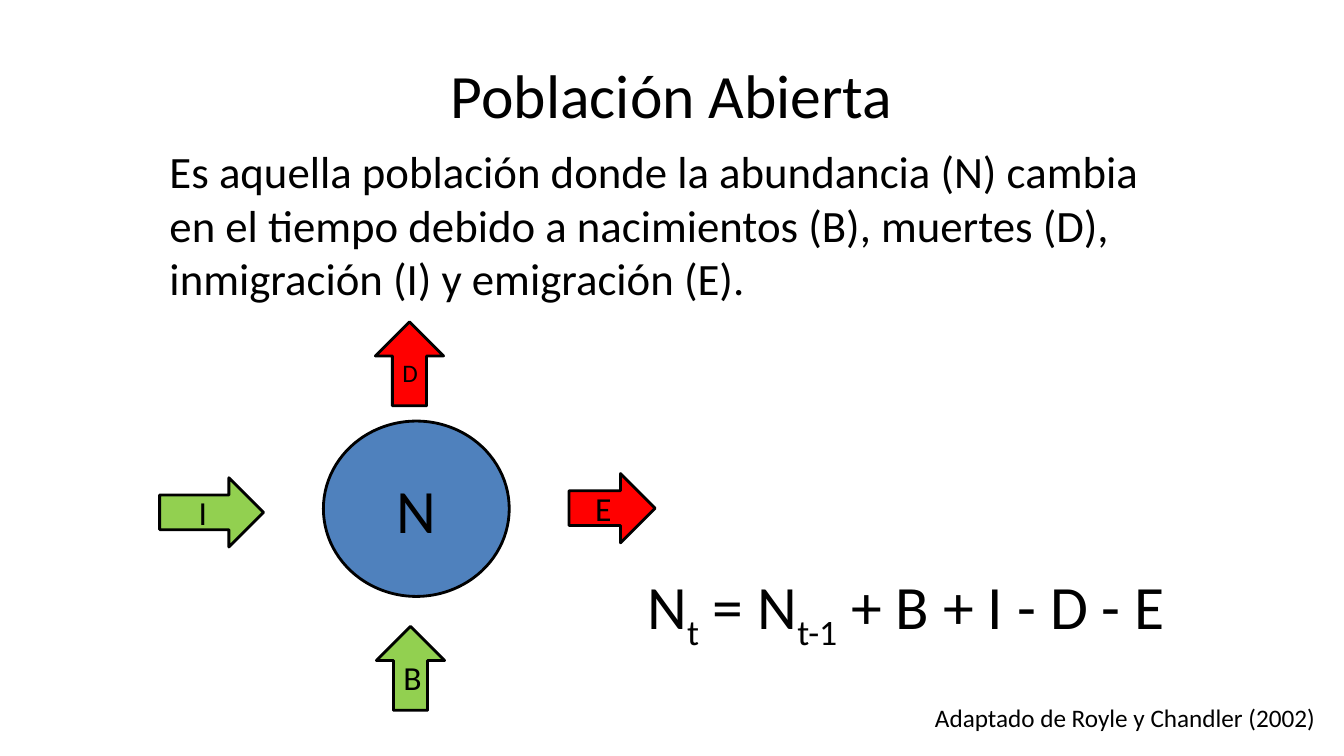
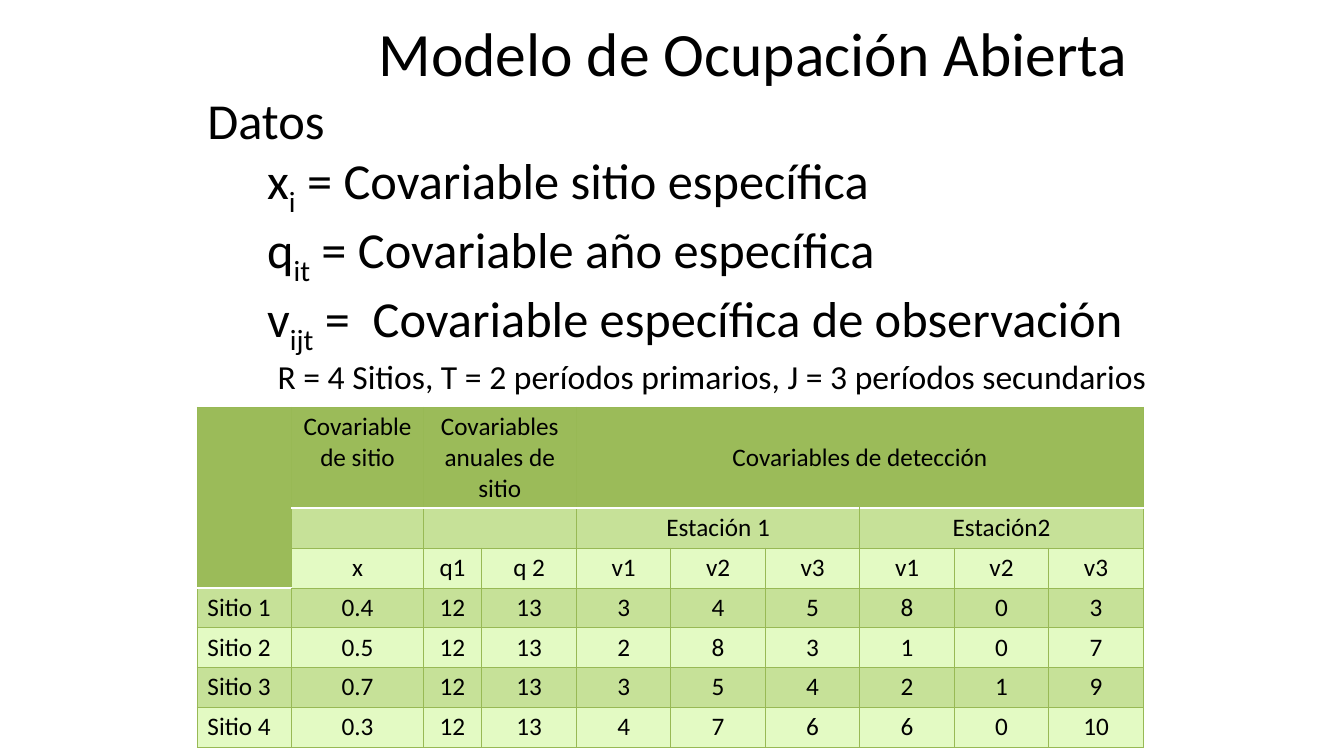
from dataclasses import dataclass
from typing import Optional

from lxml import etree
from pptx import Presentation
from pptx import util as u
from pptx.dml.color import RGBColor
from pptx.enum import shapes, text
from pptx.oxml.ns import qn

PX = 9525
FONT = "Calibri"
TITLE_SIZE = 44
COLORS = {
    "black": "000000",
    "white": "FFFFFF",
    "blue": "4F81BD",
    "gain": "92D050",
    "loss": "FF0000",
    "header": "9BBB59",
    "band_dark": "C6E198",
    "band_light": "E3FAC3",
    "grid": "98B955",
}
CENTER = text.PP_ALIGN.CENTER
LEFT = text.PP_ALIGN.LEFT
TOP = text.MSO_ANCHOR.TOP
MIDDLE = text.MSO_ANCHOR.MIDDLE
ARROW = shapes.MSO_SHAPE.RIGHT_ARROW


@dataclass(frozen=True)
class Box:
    left: int
    top: int
    width: int
    height: int

    def emu(self) -> tuple[int, ...]:
        return tuple(px(value) for value in (self.left, self.top, self.width, self.height))


@dataclass(frozen=True)
class Piece:
    words: str
    subscript: bool = False


@dataclass(frozen=True)
class Line:
    pieces: tuple[Piece, ...]
    size: int
    align: text.PP_ALIGN = LEFT
    indent: int = 0


@dataclass(frozen=True)
class Figure:
    label: str
    kind: shapes.MSO_SHAPE
    box: Box
    color: str
    size: int = 24
    upward: bool = False


@dataclass(frozen=True)
class Heading:
    words: str
    row: int
    column: int
    rows: int = 1
    columns: int = 1
    anchor: Optional[text.MSO_ANCHOR] = TOP


FLOWS = (
    Figure("N", shapes.MSO_SHAPE.OVAL, Box(308, 401, 177, 167), "blue", size=44),
    Figure("I", ARROW, Box(152, 455, 99, 66), "gain"),
    Figure("E", ARROW, Box(542, 451, 82, 66), "loss"),
    Figure("B", ARROW, Box(351, 604, 80, 65), "gain", upward=True),
    Figure("D", ARROW, Box(350, 314, 80, 65), "loss", size=18, upward=True),
)

COVARIATES = (
    ("x", "i", " = Covariable sitio específica"),
    ("q", "it", " = Covariable año específica"),
    ("v", "ijt", " =  Covariable específica de observación"),
)

COLUMN_WIDTHS = (90, 125, 56) + (90,) * 7
ROW_HEIGHTS = (96,) + (38,) * 6
CELL_PADDING = 4
HEADINGS = (
    Heading("", 0, 0, rows=3),
    Heading("Covariable de sitio", 0, 1),
    Heading("Covariables anuales de sitio", 0, 2, columns=2),
    Heading("Covariables de detección", 0, 4, columns=6, anchor=MIDDLE),
    Heading("", 1, 2, columns=2),
    Heading("Estación 1", 1, 4, columns=3),
    Heading("Estación2", 1, 7, columns=3),
)
SITES = (
    ("", "x", "q1", "q 2", "v1", "v2", "v3", "v1", "v2", "v3"),
    ("Sitio 1", "0.4", "12", "13", "3", "4", "5", "8", "0", "3"),
    ("Sitio 2", "0.5", "12", "13", "2", "8", "3", "1", "0", "7"),
    ("Sitio 3", "0.7", "12", "13", "3", "5", "4", "2", "1", "9"),
    ("Sitio 4", "0.3", "12", "13", "4", "7", "6", "6", "0", "10"),
)
FIRST_SITE_ROW = len(ROW_HEIGHTS) - len(SITES)


def px(value: int) -> int:
    return value * PX


def color(name: str) -> RGBColor:
    return RGBColor.from_string(COLORS[name])


def plain(words: str, size: int, align: text.PP_ALIGN = LEFT, indent: int = 0) -> Line:
    return Line((Piece(words),), size, align, indent)


def write(frame, lines: tuple[Line, ...]) -> None:
    for index, line in enumerate(lines):
        paragraph = frame.add_paragraph() if index else frame.paragraphs[0]
        paragraph.alignment = line.align
        paragraph.font.name = FONT
        paragraph.font.size = u.Pt(line.size)
        paragraph.font.color.rgb = color("black")
        if line.indent:
            paragraph._p.get_or_add_pPr().set("marL", str(px(line.indent)))
        for piece in line.pieces:
            run = paragraph.add_run()
            run.text = piece.words
            if piece.subscript:
                run._r.get_or_add_rPr().set("baseline", "-25000")


def add_text(slide, box: Box, lines: tuple[Line, ...],
             anchor: text.MSO_ANCHOR = TOP, wrap: bool = True) -> None:
    frame = slide.shapes.add_textbox(*box.emu()).text_frame
    frame.word_wrap = wrap
    frame.vertical_anchor = anchor
    write(frame, lines)


def add_title(slide, words: str, box: Box) -> None:
    add_text(slide, box, (plain(words, TITLE_SIZE, CENTER),), MIDDLE)


def add_figure(slide, figure: Figure) -> None:
    shape = slide.shapes.add_shape(figure.kind, *figure.box.emu())
    shape.shadow.inherit = False
    shape.fill.solid()
    shape.fill.fore_color.rgb = color(figure.color)
    shape.line.color.rgb = color("black")
    shape.line.width = u.Pt(2)
    frame = shape.text_frame
    frame.vertical_anchor = MIDDLE
    if figure.upward:
        shape.rotation = 270
        shape.element.txBody.bodyPr.set("vert", "vert")
    write(frame, (plain(figure.label, figure.size, CENTER),))


def has_rule_below(row: int, column: int) -> bool:
    return row == (0 if column else FIRST_SITE_ROW)


def style_cell(cell, row: int, column: int) -> None:
    cell.margin_top = cell.margin_bottom = px(CELL_PADDING)
    properties = cell._tc.get_or_add_tcPr()
    strong = {"lnT": has_rule_below(row - 1, column), "lnB": has_rule_below(row, column)}
    for side in ("lnL", "lnR", "lnT", "lnB"):
        name, width = ("white", 2) if strong.get(side) else ("grid", 0.75)
        border = etree.SubElement(properties, qn(f"a:{side}"), w=str(u.Pt(width)))
        fill = etree.SubElement(border, qn("a:solidFill"))
        etree.SubElement(fill, qn("a:srgbClr"), val=COLORS[name])
    is_header = row == 0 or (column == 0 and row <= FIRST_SITE_ROW)
    band = "band_dark" if row % 2 else "band_light"
    cell.fill.solid()
    cell.fill.fore_color.rgb = color("header" if is_header else band)


def add_site_table(slide) -> None:
    box = Box(188, 388, sum(COLUMN_WIDTHS), sum(ROW_HEIGHTS))
    table = slide.shapes.add_table(len(ROW_HEIGHTS), len(COLUMN_WIDTHS), *box.emu()).table
    table.first_row = table.horz_banding = False
    for column, width in enumerate(COLUMN_WIDTHS):
        table.columns[column].width = px(width)
    for row, height in enumerate(ROW_HEIGHTS):
        table.rows[row].height = px(height)
        for column in range(len(COLUMN_WIDTHS)):
            style_cell(table.cell(row, column), row, column)
    for heading in HEADINGS:
        cell = table.cell(heading.row, heading.column)
        last = table.cell(heading.row + heading.rows - 1, heading.column + heading.columns - 1)
        if heading.rows * heading.columns > 1:
            cell.merge(last)
        cell.vertical_anchor = heading.anchor
        if heading.words:
            write(cell.text_frame, (plain(heading.words, 18, CENTER),))
    for row, values in enumerate(SITES, FIRST_SITE_ROW):
        for column, value in enumerate(values):
            if value:
                line = plain(value, 18, CENTER if column else LEFT)
                write(table.cell(row, column).text_frame, (line,))


def build_population(slide) -> None:
    add_title(slide, "Población Abierta", Box(64, 29, 1152, 120))
    add_text(slide, Box(152, 132, 995, 161), (plain(
        "Es aquella población donde la abundancia (N) cambia en el tiempo debido a "
        "nacimientos (B), muertes (D), inmigración (I) y emigración (E).", 32),))
    for figure in FLOWS:
        add_figure(slide, figure)
    equation = (Piece("N"), Piece("t", True), Piece(" = N"), Piece("t-1", True),
                Piece(" + B + I - D - E"))
    add_text(slide, Box(607, 521, 636, 120), (Line(equation, 44),), MIDDLE)
    add_text(slide, Box(881, 664, 386, 38),
             (plain("Adaptado de Royle y Chandler (2002)", 18),), wrap=False)


def build_occupancy(slide) -> None:
    add_title(slide, "Modelo de Ocupación Abierta", Box(219, 8, 997, 82))
    covariates = tuple(
        Line((Piece(symbol), Piece(index, True), Piece(meaning)), 36, indent=57)
        for symbol, index, meaning in COVARIATES)
    design = plain("R = 4 Sitios, T = 2 períodos primarios, J = 3 períodos secundarios",
                   24, indent=67)
    add_text(slide, Box(188, 80, 972, 305), (plain("Datos", 36), *covariates, design))
    add_site_table(slide)


def main() -> None:
    presentation = Presentation()
    presentation.slide_width = px(1280)
    presentation.slide_height = px(720)
    blank = presentation.slide_layouts[6]
    for build in (build_population, build_occupancy):
        build(presentation.slides.add_slide(blank))
    presentation.save("out.pptx")


if __name__ == "__main__":
    main()
